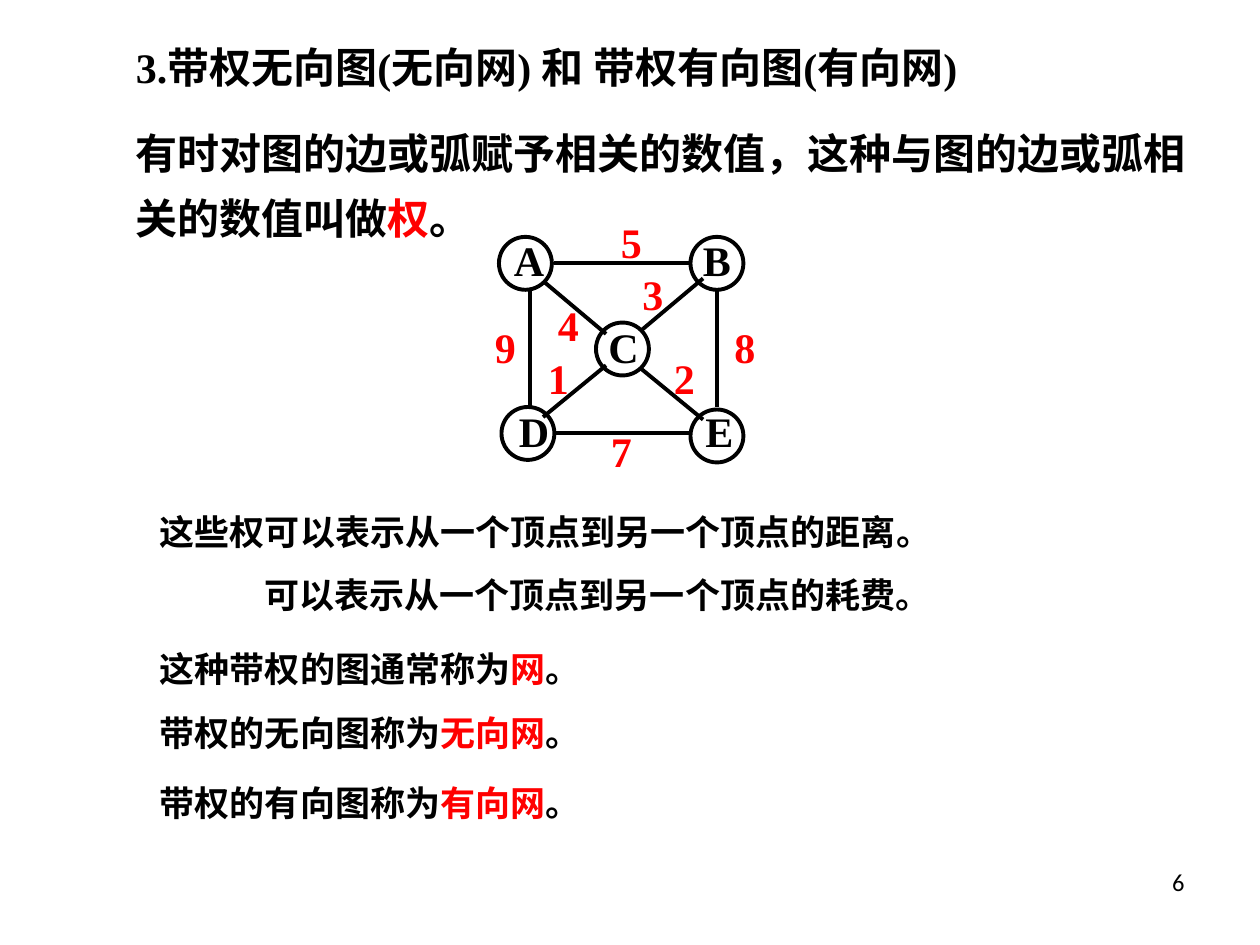
"""Build a slide that introduces weighted graphs (networks)."""
import pptx
import pptx.dml.color
import pptx.enum.shapes
import pptx.enum.text
import pptx.oxml.ns
import pptx.util
from lxml import etree
from pptx.util import Inches

COLORS = {"ink": "000000", "accent": "FF0000"}
LATIN, CHINESE, NUMBER = "Times New Roman", "Noto Sans CJK SC", "Calibri"
CIRCLE_SIZE, LINE_WIDTH = 0.42, 2.25

STATEMENTS = [
    ((0.98, 0.28, 7.67, 0.5), 24, LATIN, 1, [("3.带权无向图(无向网) 和 带权有向图(有向网)", "ink")]),
    ((0.98, 0.84, 8.58, 1.14), 24, CHINESE, 1.3, [
        ("有时对图的边或弧赋予相关的数值，这种与图的边或弧相关的数值叫做", "ink"),
        ("权", "accent"), ("。", "ink")]),
    ((1.17, 4, 8.25, 0.44), 20, LATIN, 1, [("这些权可以表示从一个顶点到另一个顶点的距离。", "ink")]),
    ((2, 4.5, 7, 0.44), 20, LATIN, 1, [("可以表示从一个顶点到另一个顶点的耗费。", "ink")]),
    ((1.17, 5.09, 6.75, 0.44), 20, CHINESE, 1, [
        ("这种带权的图通常称为", "ink"), ("网", "accent"), ("。", "ink")]),
    ((1.17, 5.6, 7.08, 0.44), 20, LATIN, 1, [
        ("带权的无向图称为", "ink"), ("无向网", "accent"), ("。", "ink")]),
    ((1.17, 6.15, 7.08, 0.44), 20, LATIN, 1, [
        ("带权的有向图称为", "ink"), ("有向网", "accent"), ("。", "ink")]),
]

VERTICES = [
    ("A", (3.96, 1.88), (3.98, 1.81)),
    ("B", (5.48, 1.88), (5.48, 1.81)),
    ("C", (4.73, 2.56), (4.73, 2.5)),
    ("D", (3.98, 3.23), (4.02, 3.17)),
    ("E", (5.48, 3.25), (5.5, 3.17)),
]

EDGES = [
    ("5", (4.4, 2.09), (5.48, 2.09), (4.83, 1.67)),
    ("7", (4.4, 3.44), (5.48, 3.44), (4.75, 3.33)),
    ("9", (4.21, 2.31), (4.21, 3.23), (3.83, 2.5)),
    ("8", (5.69, 2.31), (5.69, 3.23), (5.73, 2.5)),
    ("4", (4.31, 2.23), (4.81, 2.65), (4.33, 2.33)),
    ("2", (5.08, 2.92), (5.58, 3.33), (5.25, 2.75)),
    ("3", (5.58, 2.21), (5.08, 2.63), (5, 2.08)),
    ("1", (4.81, 2.9), (4.31, 3.31), (4.25, 2.75)),
]


def rgb(name):
    return pptx.dml.color.RGBColor.from_string(COLORS[name])


def add_text(shapes, box, size, font, runs, spacing=1, bold=True):
    frame = shapes.add_textbox(*map(Inches, box)).text_frame
    frame.word_wrap = True
    paragraph = frame.paragraphs[0]
    paragraph.line_spacing = spacing
    for text, color in runs:
        run = paragraph.add_run()
        run.text = text
        run.font.size = pptx.util.Pt(size)
        run.font.bold = bold
        run.font.name = font
        run.font.color.rgb = rgb(color)
        east_asian = etree.SubElement(run.font._element, pptx.oxml.ns.qn("a:ea"))
        east_asian.set("typeface", CHINESE)
    return paragraph


def style_line(line):
    line.color.rgb = rgb("ink")
    line.width = pptx.util.Pt(LINE_WIDTH)


def add_graph(slide):
    shapes = slide.shapes.add_group_shape().shapes
    for _, corner, _ in VERTICES:
        circle = shapes.add_shape(
            pptx.enum.shapes.MSO_SHAPE.OVAL,
            *map(Inches, (*corner, CIRCLE_SIZE, CIRCLE_SIZE)))
        circle.shadow.inherit = False
        circle.fill.background()
        style_line(circle.line)
    for _, start, end, _ in EDGES:
        edge = shapes.add_connector(
            pptx.enum.shapes.MSO_CONNECTOR.STRAIGHT, *map(Inches, (*start, *end)))
        style_line(edge.line)
        etree.SubElement(edge._element.spPr, pptx.oxml.ns.qn("a:effectLst"))
    for letter, _, corner in VERTICES:
        add_text(shapes, (*corner, 0.75, 0.5), 24, LATIN, [(letter, "ink")])
    for weight, _, _, corner in EDGES:
        add_text(shapes, (*corner, 0.67, 0.5), 24, LATIN, [(weight, "accent")])


def main():
    presentation = pptx.Presentation()
    presentation.slide_width, presentation.slide_height = Inches(10), Inches(7.5)
    slide = presentation.slides.add_slide(presentation.slide_layouts[6])
    for box, size, font, spacing, runs in STATEMENTS:
        add_text(slide.shapes, box, size, font, runs, spacing)
    add_graph(slide)
    page_number = add_text(
        slide.shapes, (7.17, 6.83, 2.33, 0.52), 14, NUMBER, [("6", "ink")], bold=False)
    page_number.alignment = pptx.enum.text.PP_ALIGN.RIGHT
    presentation.save("out.pptx")


if __name__ == "__main__":
    main()
